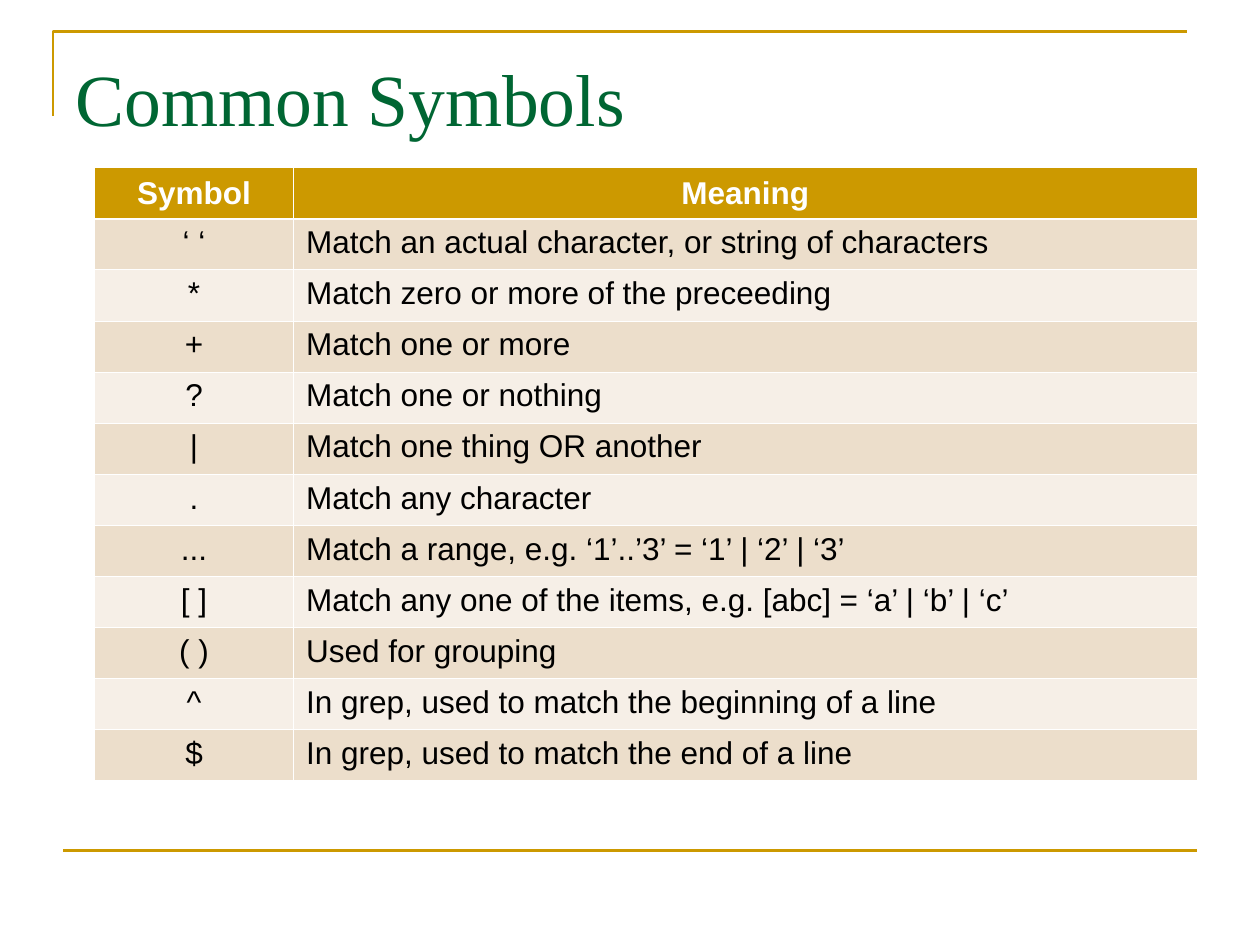
from lxml import etree
from pptx import Presentation
from pptx import util as u
from pptx.dml.color import RGBColor
from pptx.enum import shapes, text
from pptx.oxml import ns

GOLD, GREEN, WHITE, BLACK = "CC9900", "006633", "FFFFFF", "000000"
BANDS = ("ECDECB", "F6EFE7")
THIN, THICK = 0.45, 1.47

HEADER = ("Symbol", "Meaning")
SYMBOLS = [
    ("‘ ‘", "Match an actual character, or string of characters"),
    ("*", "Match zero or more of the preceeding"),
    ("+", "Match one or more"),
    ("?", "Match one or nothing"),
    ("|", "Match one thing OR another"),
    (".", "Match any character"),
    ("...", "Match a range, e.g. ‘1’..’3’ = ‘1’ | ‘2’ | ‘3’"),
    ("[ ]", "Match any one of the items, e.g. [abc] = ‘a’ | ‘b’ | ‘c’"),
    ("( )", "Used for grouping"),
    ("^", "In grep, used to match the beginning of a line"),
    ("$", "In grep, used to match the end of a line"),
]


def color(value):
    return RGBColor.from_string(value)


def format_text(text_frame, font_name, size, text_color, alignment, bold=False):
    for paragraph in text_frame.paragraphs:
        paragraph.alignment = alignment
        for run in paragraph.runs:
            run.font.name = font_name
            run.font.size = u.Pt(size)
            run.font.bold = bold
            run.font.color.rgb = color(text_color)


def style_line(shape):
    shape.line.color.rgb = color(GOLD)
    shape.line.width = u.Pt(1.5)


def add_corner_rule(slide):
    builder = slide.shapes.build_freeform(u.Inches(0.42), u.Inches(0.92))
    corner = [(u.Inches(0.42), u.Inches(0.25)), (u.Inches(9.42), u.Inches(0.25))]
    builder.add_line_segments(corner, close=False)
    shape = builder.convert_to_shape()
    shape.shadow.inherit = False
    shape.fill.background()
    style_line(shape)


def add_bottom_rule(slide):
    y = u.Inches(6.75)
    connector = slide.shapes.add_connector(
        shapes.MSO_CONNECTOR.STRAIGHT, u.Inches(0.5), y, u.Inches(9.5), y)
    style_line(connector)
    etree.SubElement(connector.element.spPr, ns.qn("a:effectLst"))


def add_title(slide, wording):
    title = slide.shapes.title
    title.left, title.top = u.Inches(0.5), u.Inches(0.3)
    title.width, title.height = u.Inches(9), u.Inches(1.25)
    text_frame = title.text_frame
    text_frame.text = wording
    text_frame.vertical_anchor = text.MSO_ANCHOR.TOP
    text_frame.margin_top = u.Inches(0.12)
    format_text(text_frame, "Times New Roman", 42, GREEN, text.PP_ALIGN.LEFT)


def set_borders(cell, top, bottom):
    properties = cell._tc.get_or_add_tcPr()
    for side, width in (("L", THIN), ("R", THIN), ("T", top), ("B", bottom)):
        line = etree.SubElement(properties, ns.qn(f"a:ln{side}"), w=str(u.Pt(width)))
        fill = etree.SubElement(line, ns.qn("a:solidFill"))
        etree.SubElement(fill, ns.qn("a:srgbClr"), val=WHITE)


def fill_cell(cell, wording, row, column):
    is_header = row == 0
    # Borders: the rule under the header is heavier
    set_borders(cell, THICK if row == 1 else THIN, THICK if is_header else THIN)
    cell.fill.solid()
    cell.fill.fore_color.rgb = color(GOLD if is_header else BANDS[(row - 1) % 2])
    cell.text_frame.text = wording
    centered = is_header or column == 0
    cell.vertical_anchor = text.MSO_ANCHOR.MIDDLE if is_header else text.MSO_ANCHOR.TOP
    format_text(cell.text_frame, "Arial", 18, WHITE if is_header else BLACK,
                text.PP_ALIGN.CENTER if centered else text.PP_ALIGN.LEFT, is_header)


def add_symbol_table(slide):
    rows = [HEADER] + SYMBOLS
    table = slide.shapes.add_table(
        len(rows), len(HEADER), u.Inches(0.75), u.Inches(1.33),
        u.Inches(8.75), u.Inches(4.87)).table
    for column, width in zip(table.columns, (1.58, 7.17)):
        column.width = u.Inches(width)
    for row, wordings in enumerate(rows):
        for column, wording in enumerate(wordings):
            fill_cell(table.cell(row, column), wording, row, column)


def main():
    presentation = Presentation()
    presentation.slide_width, presentation.slide_height = u.Inches(10), u.Inches(7.5)
    slide = presentation.slides.add_slide(presentation.slide_layouts[5])
    # Frame rules
    add_corner_rule(slide)
    add_bottom_rule(slide)
    # Content
    add_title(slide, "Common Symbols")
    add_symbol_table(slide)
    presentation.save("out.pptx")


main()
